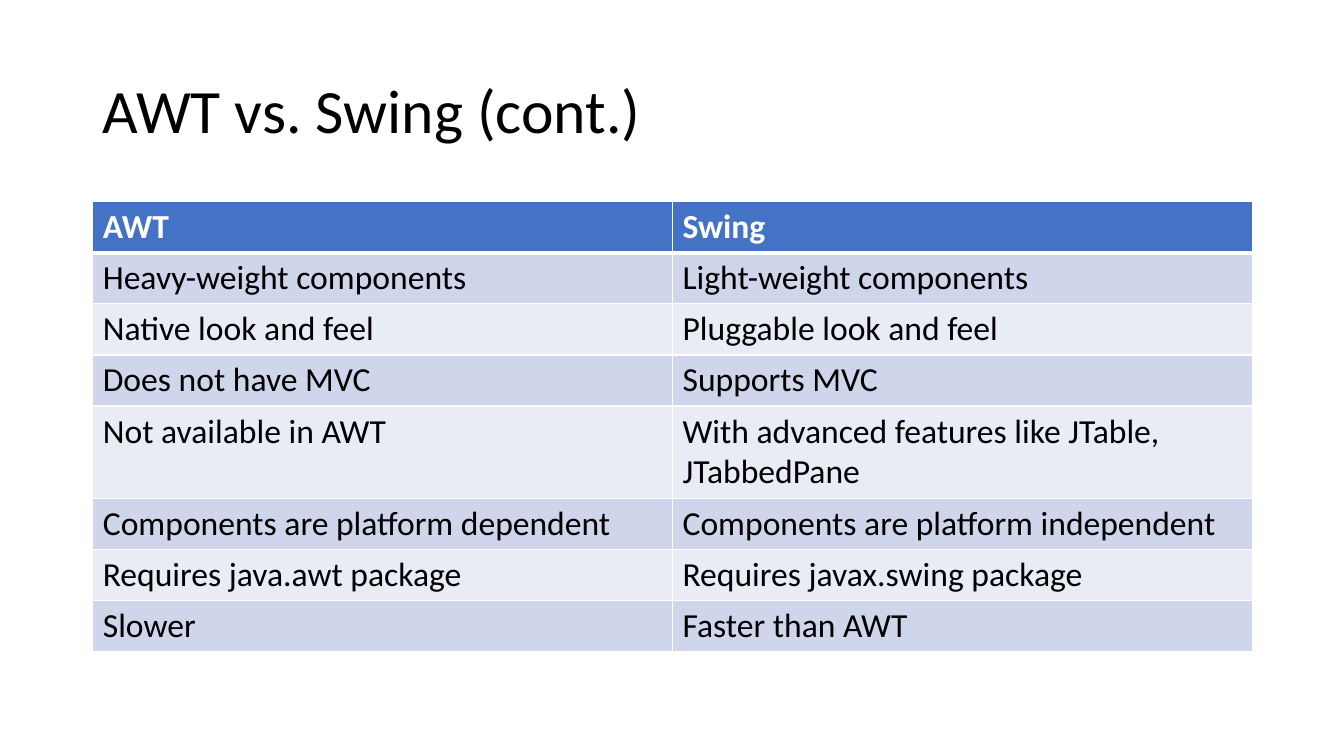
from lxml.etree import SubElement
from pptx import Presentation
from pptx.dml.color import RGBColor
from pptx.enum.text import MSO_ANCHOR, PP_ALIGN
from pptx.oxml.ns import qn
from pptx.util import Inches, Pt

FONT = "Calibri"
COLORS = {
    "text": "000000",
    "header": "4472C4",
    "header_text": "FFFFFF",
    "odd_row": "CFD5EA",
    "even_row": "E9EBF5",
    "border": "FFFFFF",
}
COMPARISON = [
    ("AWT", "Swing"),
    ("Heavy-weight components", "Light-weight components"),
    ("Native look and feel", "Pluggable look and feel"),
    ("Does not have MVC", "Supports MVC"),
    ("Not available in AWT", "With advanced features like JTable, JTabbedPane"),
    ("Components are platform dependent", "Components are platform independent"),
    ("Requires java.awt package", "Requires javax.swing package"),
    ("Slower", "Faster than AWT"),
]
LEFT, WIDTH = Inches(0.92), Inches(11.5)


def write_text(frame, text, size=24, color="text", bold=False, spacing=None):
    paragraph = frame.paragraphs[0]
    paragraph.alignment = PP_ALIGN.LEFT
    paragraph.line_spacing = spacing
    run = paragraph.add_run()
    run.text = text
    run.font.name = FONT
    run.font.size = Pt(size)
    run.font.bold = bold
    run.font.color.rgb = RGBColor.from_string(COLORS[color])


def add_borders(cell, **widths):
    """Draw left, right, top and bottom borders; widths are in points."""
    properties = cell._tc.get_or_add_tcPr()
    for side in ("L", "R", "T", "B"):
        line = SubElement(properties, qn(f"a:ln{side}"), w=str(Pt(widths.get(side, 1))))
        fill = SubElement(line, qn("a:solidFill"))
        SubElement(fill, qn("a:srgbClr"), val=COLORS["border"])


def fill_cell(cell, text, row):
    is_header = row == 0
    # The rule below the header is thicker than the others
    add_borders(cell, T=3 if row == 1 else 1, B=3 if is_header else 1)
    band = "header" if is_header else ("even_row", "odd_row")[row % 2]
    cell.fill.solid()
    cell.fill.fore_color.rgb = RGBColor.from_string(COLORS[band])
    write_text(cell.text_frame, text, bold=is_header,
               color="header_text" if is_header else "text")


def add_title(slide, text):
    title = slide.shapes.title
    title.left, title.top = LEFT, Inches(0.4)
    title.width, title.height = WIDTH, Inches(1.45)
    title.text_frame.vertical_anchor = MSO_ANCHOR.MIDDLE
    write_text(title.text_frame, text, size=44, spacing=0.9)


def add_comparison(slide, rows):
    height = Inches(4.4)
    frame = slide.shapes.add_table(len(rows), len(rows[0]), LEFT, Inches(2), WIDTH, height)
    for row, texts in enumerate(rows):
        frame.table.rows[row].height = Inches(0.41)
        for column, text in enumerate(texts):
            fill_cell(frame.table.cell(row, column), text, row)
    frame.height = height


def main():
    presentation = Presentation()
    presentation.slide_width = Inches(13.33)
    presentation.slide_height = Inches(7.5)
    slide = presentation.slides.add_slide(presentation.slide_layouts[5])

    # Heading
    add_title(slide, "AWT vs. Swing (cont.)")
    # Feature table
    add_comparison(slide, COMPARISON)

    presentation.save("out.pptx")


if __name__ == "__main__":
    main()
